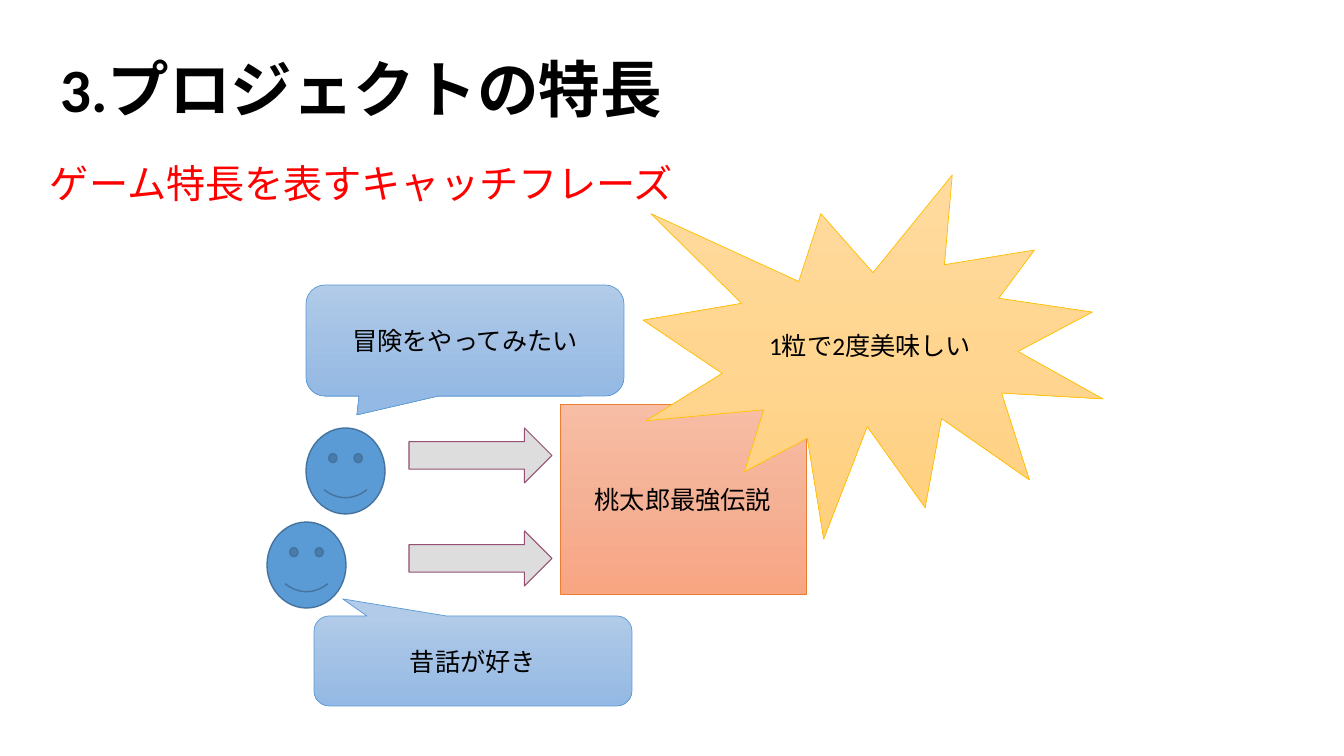
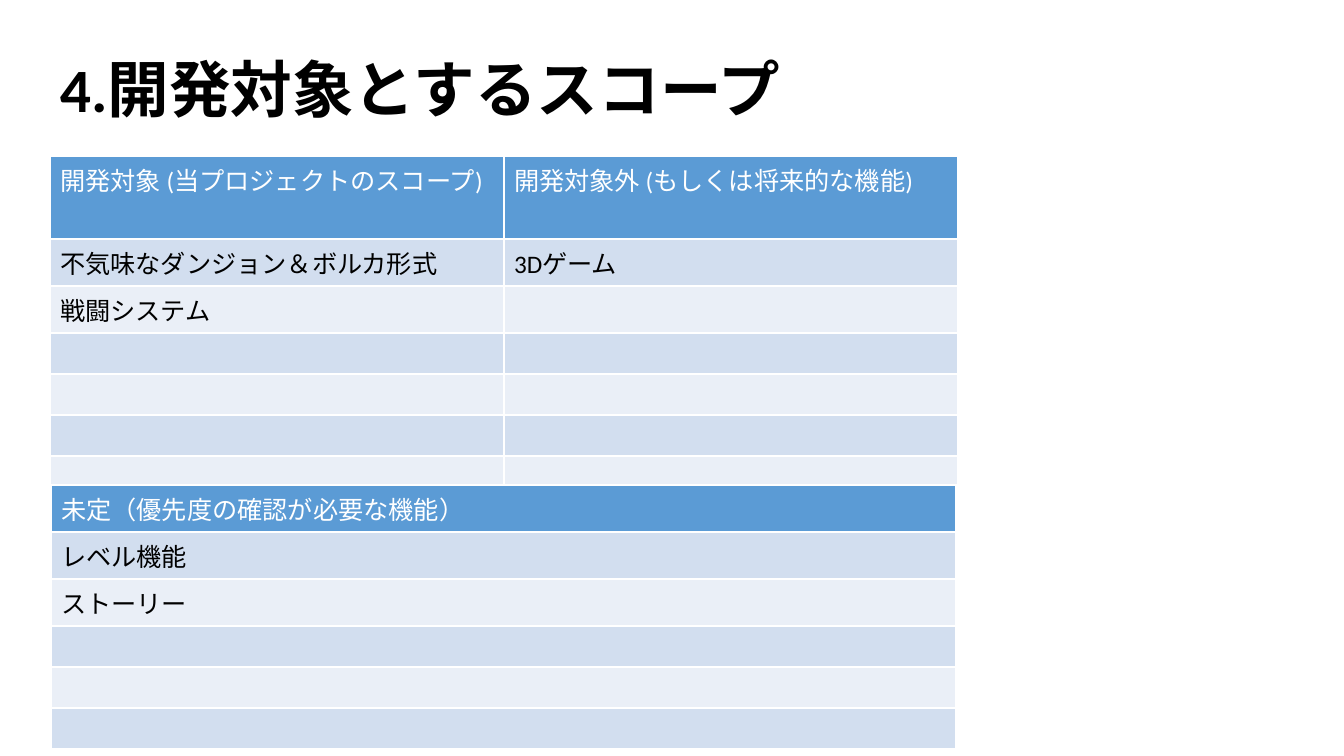
from copy import deepcopy
from dataclasses import dataclass
from typing import Optional

from pptx import Presentation
from pptx.dml.color import RGBColor
from pptx.enum.lang import MSO_LANGUAGE_ID
from pptx.enum.shapes import MSO_SHAPE
from pptx.enum.text import MSO_ANCHOR, PP_ALIGN
from pptx.util import Emu, Pt

ARROW = MSO_SHAPE.RIGHT_ARROW
CALLOUT = MSO_SHAPE.ROUNDED_RECTANGULAR_CALLOUT
PROCESS = MSO_SHAPE.FLOWCHART_PROCESS
BURST = MSO_SHAPE.EXPLOSION1
SMILEY = MSO_SHAPE.SMILEY_FACE
MIDDLE, TOP = MSO_ANCHOR.MIDDLE, MSO_ANCHOR.TOP
CENTER = PP_ALIGN.CENTER
JAPANESE = MSO_LANGUAGE_ID.JAPANESE

FONT = "Calibri"
EMU_PER_PIXEL = 914400 / 100.8
BLANK_LAYOUT = 6
ENTRY_HEIGHT, EMPTY_HEIGHT = 47, 41
COLORS = {
    "ink": "000000", "white": "FFFFFF", "red": "FF0000",
    "blue": "5B9BD5", "navy": "43739E", "grey": "DDDDDD", "plum": "954F72",
    "orange": "ED7D31", "gold": "FFC000",
    "band_dark": "D2DEEF", "band_light": "EAEFF7",
    "sky_1": "B1CBE9", "sky_2": "A3C1E5", "sky_3": "93B9E4",
    "peach_1": "F7BDA5", "peach_2": "F5B196", "peach_3": "F8A582",
    "sun_1": "FFDB9E", "sun_2": "FFD590", "sun_3": "FFD07C",
}


@dataclass(frozen=True)
class Box:
    """A rectangle in pixels."""
    left: int
    top: int
    width: int
    height: int

    def emu(self) -> tuple[Emu, Emu, Emu, Emu]:
        """Give left, top, width and height in EMU."""
        return px(self.left), px(self.top), px(self.width), px(self.height)


@dataclass(frozen=True)
class Look:
    """Fill (one colour or three gradient colours) and outline."""
    fill: tuple[str, ...]
    line: str
    line_width: float


@dataclass(frozen=True)
class Figure:
    """One preset shape of the concept diagram."""
    preset: MSO_SHAPE
    box: Box
    look: Look
    label: str = ""
    adjustments: tuple[float, ...] = ()


@dataclass(frozen=True)
class ScopeTable:
    """A banded table whose unused rows stay empty."""
    left: int
    top: int
    column_width: int
    header_height: int
    empty_rows: int
    header: tuple[str, ...]
    entries: tuple[tuple[str, ...], ...]

    def row_heights(self) -> list[int]:
        """Give the height of each row, tall enough for its text."""
        return [self.header_height,
                *[ENTRY_HEIGHT] * len(self.entries),
                *[EMPTY_HEIGHT] * self.empty_rows]


TITLE_BOX = Box(50, 30, 907, 126)
CATCHPHRASE_BOX = Box(40, 160, 1260, 101)

ARROW_LOOK = Look(("grey",), "plum", 0.75)
VOICE_LOOK = Look(("sky_1", "sky_2", "sky_3"), "blue", 0.5)
GAME_LOOK = Look(("peach_1", "peach_2", "peach_3"), "orange", 0.5)
SLOGAN_LOOK = Look(("sun_1", "sun_2", "sun_3"), "gold", 0.5)
PLAYER_LOOK = Look(("blue",), "navy", 1)

CONCEPT = (
    Figure(ARROW, Box(409, 428, 143, 55), ARROW_LOOK),
    Figure(CALLOUT, Box(306, 285, 318, 111), VOICE_LOOK,
           "冒険をやってみたい", (-0.34, 0.67, 0.17)),
    Figure(ARROW, Box(409, 531, 143, 55), ARROW_LOOK),
    Figure(CALLOUT, Box(314, 616, 318, 90), VOICE_LOOK,
           "昔話が好き", (-0.41, -0.69, 0.17)),
    Figure(PROCESS, Box(560, 404, 246, 190), GAME_LOOK, "桃太郎最強伝説"),
    Figure(BURST, Box(643, 175, 460, 364), SLOGAN_LOOK, "1粒で2度美味しい"),
    Figure(SMILEY, Box(306, 428, 79, 86), PLAYER_LOOK),
    Figure(SMILEY, Box(267, 522, 79, 86), PLAYER_LOOK),
)

SCOPE_TABLES = (
    ScopeTable(50, 156, 454, 83, 4,
               ("開発対象 (当プロジェクトのスコープ)",
                "開発対象外 (もしくは将来的な機能)"),
               (("不気味なダンジョン＆ボルカ形式", "3Dゲーム"),
                ("戦闘システム",))),
    ScopeTable(51, 485, 905, 47, 3,
               ("未定（優先度の確認が必要な機能）",),
               (("レベル機能",), ("ストーリー",))),
)


def px(length: float) -> Emu:
    """Turn pixels into EMU."""
    return Emu(round(length * EMU_PER_PIXEL))


def rgb(name: str) -> RGBColor:
    """Look a colour up by name."""
    return RGBColor.from_string(COLORS[name])


def write(frame, text: str, size: float, color: str, bold: bool = False):
    """Write one formatted paragraph and return it."""
    frame.text = text
    paragraph = frame.paragraphs[0]
    for run in paragraph.runs:
        font = run.font
        font.name, font.size, font.bold = FONT, Pt(size), bold
        font.color.rgb = rgb(color)
        font.language_id = JAPANESE
    return paragraph


def add_text(slide, box: Box, text: str, size: float, color: str,
             anchor: MSO_ANCHOR, bold: bool = False):
    """Add a wrapping text box and return its paragraph."""
    frame = slide.shapes.add_textbox(*box.emu()).text_frame
    frame.word_wrap = True
    frame.vertical_anchor = anchor
    paragraph = write(frame, text, size, color, bold)
    paragraph.line_spacing = 0.9
    return paragraph


def add_titled_slide(deck, title: str):
    """Add a blank slide with the shared title."""
    slide = deck.slides.add_slide(deck.slide_layouts[BLANK_LAYOUT])
    add_text(slide, TITLE_BOX, title, 44, "ink", MIDDLE, bold=True)
    return slide


def paint(shape, look: Look) -> None:
    """Apply fill and outline to a shape."""
    shape.shadow.inherit = False
    fill = shape.fill
    if len(look.fill) == 1:
        fill.solid()
        fill.fore_color.rgb = rgb(look.fill[0])
    else:
        fill.gradient()
        fill.gradient_angle = 270
        stop_list = shape._element.xpath(".//a:gsLst")[0]
        stop_list.append(deepcopy(stop_list[-1]))
        last = len(look.fill) - 1
        for index, (stop, color) in enumerate(zip(fill.gradient_stops, look.fill)):
            stop.position = index / last
            stop.color.rgb = rgb(color)
    shape.line.color.rgb = rgb(look.line)
    shape.line.width = Pt(look.line_width)


def add_figure(slide, figure: Figure) -> None:
    """Draw one shape of the concept diagram."""
    shape = slide.shapes.add_shape(figure.preset, *figure.box.emu())
    for index, value in enumerate(figure.adjustments):
        shape.adjustments[index] = value
    paint(shape, figure.look)
    if figure.label:
        frame = shape.text_frame
        frame.word_wrap = True
        frame.vertical_anchor = MIDDLE
        write(frame, figure.label, 18, "ink").alignment = CENTER


def fill_cell(cell, fill: str, text: Optional[str], color: str) -> None:
    """Colour a cell and write its text, if any."""
    cell.fill.solid()
    cell.fill.fore_color.rgb = rgb(fill)
    if text:
        write(cell.text_frame, text, 18, color)


def add_scope_table(slide, scope: ScopeTable) -> None:
    """Draw a header row above alternating bands."""
    columns = len(scope.header)
    heights = scope.row_heights()
    box = Box(scope.left, scope.top, scope.column_width * columns, sum(heights))
    table = slide.shapes.add_table(len(heights), columns, *box.emu()).table
    texts = {(row, column): text
             for row, entry in enumerate((scope.header, *scope.entries))
             for column, text in enumerate(entry)}
    for row, height in enumerate(heights):
        table.rows[row].height = px(height)
        band = "band_dark" if row % 2 else "band_light"
        fill, color = (band, "ink") if row else ("blue", "white")
        for column in range(columns):
            fill_cell(table.cell(row, column), fill, texts.get((row, column)), color)


def build_features(deck) -> None:
    """Build the slide on the project's strong points."""
    slide = add_titled_slide(deck, "3.プロジェクトの特長")
    catchphrase = add_text(slide, CATCHPHRASE_BOX, "ゲーム特長を表すキャッチフレーズ",
                           28, "red", TOP)
    catchphrase.space_before = Pt(10)
    for figure in CONCEPT:
        add_figure(slide, figure)


def build_scope(deck) -> None:
    """Build the slide on the development scope."""
    slide = add_titled_slide(deck, "4.開発対象とするスコープ")
    for scope in SCOPE_TABLES:
        add_scope_table(slide, scope)


def main() -> None:
    """Build and save the deck."""
    deck = Presentation()
    deck.slide_width, deck.slide_height = px(1344), px(756)
    build_features(deck)
    build_scope(deck)
    deck.save("out.pptx")


main()
